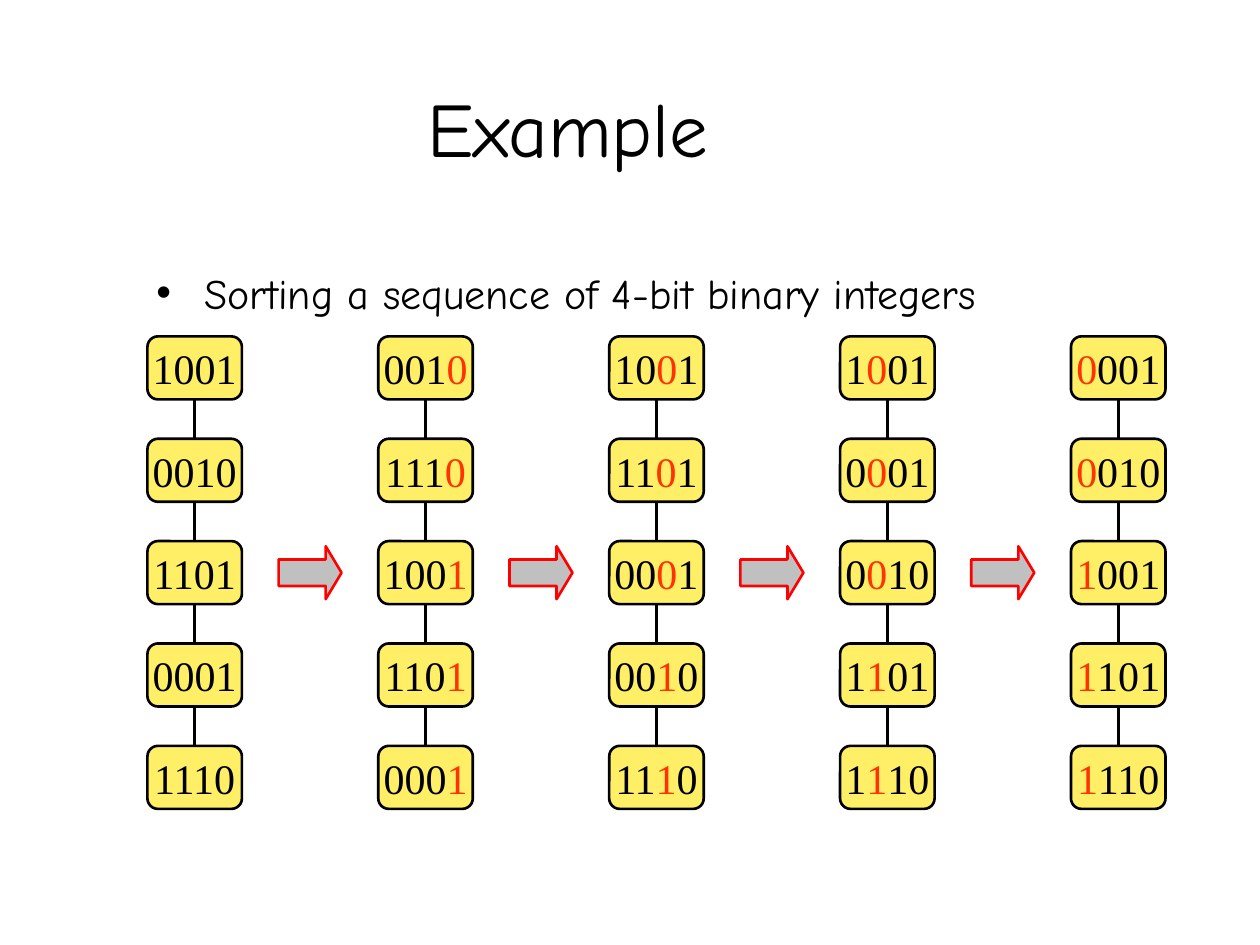
from dataclasses import dataclass
from typing import Optional

import pptx
import pptx.dml.color
import pptx.enum.shapes
import pptx.enum.text
import pptx.oxml
import pptx.oxml.ns
import pptx.shapes.autoshape
import pptx.util
from pptx.util import Inches

RGB = pptx.dml.color.RGBColor
SHAPE = pptx.enum.shapes.MSO_SHAPE
ALIGN = pptx.enum.text.PP_ALIGN
ANCHOR = pptx.enum.text.MSO_ANCHOR


@dataclass(frozen=True)
class Theme:
    ink: RGB = RGB(0x00, 0x00, 0x00)
    sorted_bit: RGB = RGB(0xFF, 0x33, 0x00)
    key_fill: RGB = RGB(0xFF, 0xEF, 0x66)
    arrow_fill: RGB = RGB(0xC0, 0xC0, 0xC0)
    arrow_line: RGB = RGB(0xFF, 0x00, 0x00)
    heading_font: str = "Comic Neue"
    key_font: str = "Times New Roman"
    title_size: int = 44
    text_size: int = 24
    line_width: float = 1.5


@dataclass(frozen=True)
class Stage:
    left: float
    keys: list[str]
    bit: Optional[int]


THEME = Theme()
BITS = 4
FIRST_LEFT, LAST_LEFT = 1.17, 8.5
FIRST_TOP, LAST_TOP = 2.67, 5.92
KEY_WIDTH, KEY_HEIGHT = 0.75, 0.5
ARROW_WIDTH, ARROW_HEIGHT = 0.42, 0.5
UNSORTED = ["1001", "0010", "1101", "0001", "1110"]
STAGE_PITCH = (LAST_LEFT - FIRST_LEFT) / BITS
KEY_PITCH = (LAST_TOP - FIRST_TOP) / (len(UNSORTED) - 1)


def radix_sort_stages() -> list[Stage]:
    keys = UNSORTED
    stages = [Stage(FIRST_LEFT, keys, None)]
    for step, bit in enumerate(reversed(range(BITS)), start=1):
        keys = sorted(keys, key=lambda key: key[bit])
        stages.append(Stage(FIRST_LEFT + step * STAGE_PITCH, keys, bit))
    return stages


def add_run(paragraph, text: str, font_name: str, size: int, color: RGB) -> None:
    run = paragraph.add_run()
    run.text = text
    run.font.name = font_name
    run.font.size = pptx.util.Pt(size)
    run.font.color.rgb = color


def place(placeholder, left: float, top: float, width: float, height: float) -> None:
    placeholder.left, placeholder.top = Inches(left), Inches(top)
    placeholder.width, placeholder.height = Inches(width), Inches(height)
    placeholder.text_frame.auto_size = pptx.enum.text.MSO_AUTO_SIZE.NONE


def paint(shape: pptx.shapes.autoshape.Shape, fill: RGB, line: RGB) -> None:
    shape.shadow.inherit = False
    shape.fill.solid()
    shape.fill.fore_color.rgb = fill
    shape.line.color.rgb = line
    shape.line.width = pptx.util.Pt(THEME.line_width)


def add_title(slide) -> None:
    title = slide.shapes.title
    place(title, 0.75, 0.17, 7.51, 1.25)
    title.text_frame.vertical_anchor = ANCHOR.BOTTOM
    paragraph = title.text_frame.paragraphs[0]
    paragraph.alignment = ALIGN.CENTER
    add_run(paragraph, "Example", THEME.heading_font, THEME.title_size, THEME.ink)


def add_topic(slide) -> None:
    topic = slide.placeholders[1]
    place(topic, 1.14, 2.07, 7.95, 0.47)
    paragraph = topic.text_frame.paragraphs[0]
    properties = paragraph._p.get_or_add_pPr()
    properties.set("marL", str(Inches(0.38)))
    properties.set("indent", str(-Inches(0.38)))
    bullet = pptx.oxml.parse_xml(f'<a:buChar {pptx.oxml.ns.nsdecls("a")} char="•"/>')
    properties.append(bullet)
    paragraph.space_before = pptx.util.Pt(0)
    add_run(paragraph, "Sorting a sequence of 4-bit binary integers",
            THEME.heading_font, THEME.text_size, THEME.ink)


def add_chain(shapes, stage: Stage) -> None:
    center = Inches(stage.left + KEY_WIDTH / 2)
    chain = shapes.add_connector(
        pptx.enum.shapes.MSO_CONNECTOR.STRAIGHT,
        center, Inches(FIRST_TOP + KEY_HEIGHT), center, Inches(LAST_TOP))
    chain.line.color.rgb = THEME.ink
    chain.line.width = pptx.util.Pt(THEME.line_width)
    no_effects = pptx.oxml.parse_xml(f'<a:effectLst {pptx.oxml.ns.nsdecls("a")}/>')
    chain._element.spPr.append(no_effects)


def add_key(shapes, left: float, top: float, key: str, bit: Optional[int]) -> None:
    box = shapes.add_shape(SHAPE.ROUNDED_RECTANGLE, Inches(left), Inches(top),
                           Inches(KEY_WIDTH), Inches(KEY_HEIGHT))
    paint(box, THEME.key_fill, THEME.ink)
    frame = box.text_frame
    frame.word_wrap = False
    frame.vertical_anchor = ANCHOR.MIDDLE
    frame.margin_left = frame.margin_right = 0
    paragraph = frame.paragraphs[0]
    paragraph.alignment = ALIGN.CENTER
    if bit is None:
        parts = [(key, THEME.ink)]
    else:
        parts = [(key[:bit], THEME.ink), (key[bit], THEME.sorted_bit),
                 (key[bit + 1:], THEME.ink)]
    for digits, color in parts:
        if digits:
            add_run(paragraph, digits, THEME.key_font, THEME.text_size, color)


def add_stage(slide, stage: Stage) -> None:
    shapes = slide.shapes.add_group_shape().shapes
    add_chain(shapes, stage)
    for row, key in enumerate(stage.keys):
        add_key(shapes, stage.left, FIRST_TOP + row * KEY_PITCH, key, stage.bit)


def add_arrow(slide, left: float) -> None:
    arrow = slide.shapes.add_shape(SHAPE.DOWN_ARROW, Inches(left),
                                   Inches(FIRST_TOP + 2 * KEY_PITCH),
                                   Inches(ARROW_WIDTH), Inches(ARROW_HEIGHT))
    arrow.rotation = 270
    arrow.adjustments[0] = 0.5
    arrow.adjustments[1] = 0.3
    paint(arrow, THEME.arrow_fill, THEME.arrow_line)


def main() -> None:
    presentation = pptx.Presentation()
    presentation.slide_width, presentation.slide_height = Inches(10), Inches(7.5)
    slide = presentation.slides.add_slide(presentation.slide_layouts[1])
    add_title(slide)
    add_topic(slide)
    stages = radix_sort_stages()
    for stage in stages:
        add_stage(slide, stage)
    gap = STAGE_PITCH - KEY_WIDTH
    for stage in stages[:-1]:
        add_arrow(slide, stage.left + KEY_WIDTH + (gap - ARROW_WIDTH) / 2)
    presentation.save("out.pptx")


if __name__ == "__main__":
    main()
